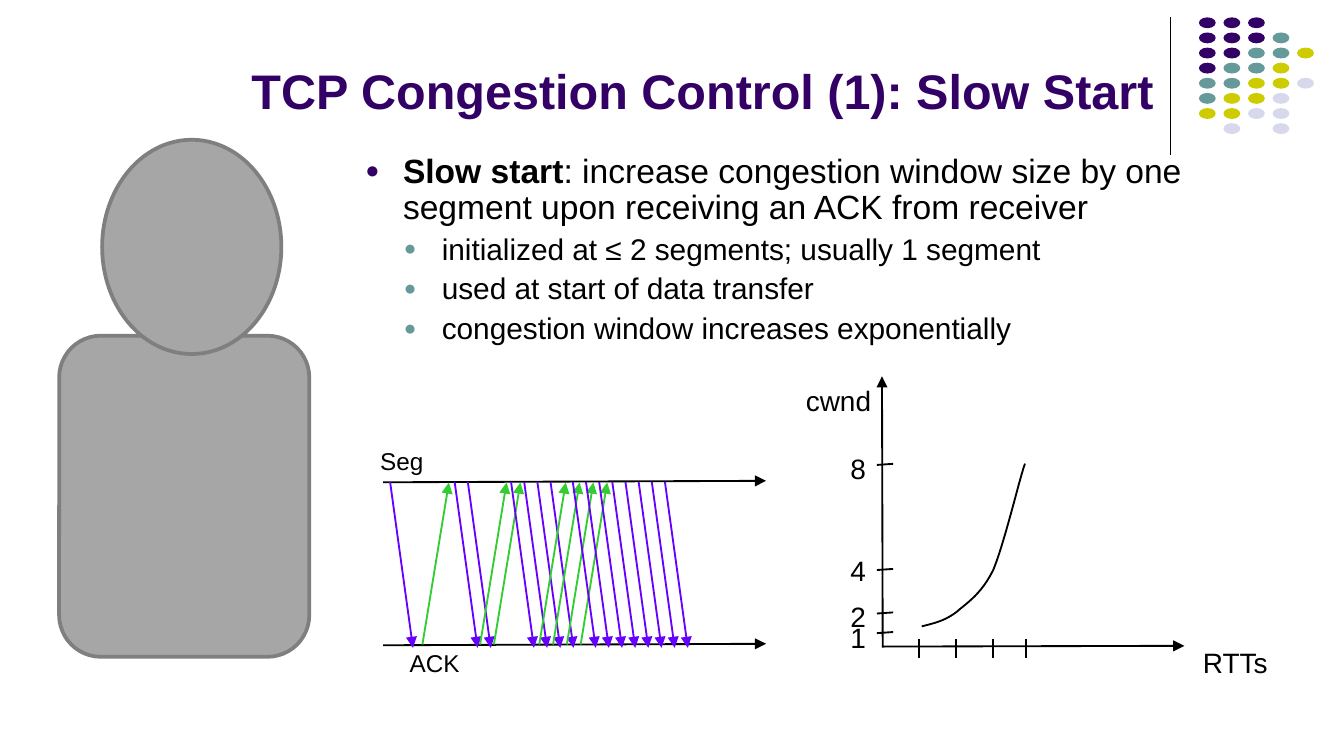
from lxml.etree import SubElement
from pptx import Presentation
from pptx.dml.color import RGBColor
from pptx.enum.shapes import MSO_CONNECTOR, MSO_SHAPE
from pptx.enum.text import MSO_ANCHOR, MSO_AUTO_SIZE, PP_ALIGN
from pptx.oxml.ns import qn
from pptx.util import Pt

FONT = "Arial"
COLORS = {
    "black": "000000",
    "purple": "330066",
    "teal": "669999",
    "olive": "CCCC00",
    "lavender": "D8D8EC",
    "segment": "6600FF",
    "ack": "33CC33",
    "figure": "A6A6A6",
    "outline": "7F7F7F",
}


def color(name):
    """Return the named palette colour."""
    return RGBColor.from_string(COLORS[name])


def style_run(span, size, name="black", bold=False):
    """Set the font of one run."""
    span.font.name = FONT
    span.font.size = Pt(size)
    span.font.bold = bold
    span.font.color.rgb = color(name)


def add_line(page, start, end, name="black", width=1, arrow=False):
    """Draw a straight line, with an arrowhead at its end if asked."""
    line = page.shapes.add_connector(
        MSO_CONNECTOR.STRAIGHT, *(Pt(value) for value in (*start, *end)))
    line.line.color.rgb = color(name)
    line.line.width = Pt(width)
    if arrow:
        SubElement(line.line._get_or_add_ln(), qn("a:tailEnd"), type="triangle")
    SubElement(line._element.spPr, qn("a:effectLst"))


def add_solid(page, kind, box, fill, outline=None):
    """Draw a filled preset shape with an optional outline."""
    solid = page.shapes.add_shape(kind, *(Pt(value) for value in box))
    solid.shadow.inherit = False
    solid.fill.solid()
    solid.fill.fore_color.rgb = color(fill)
    if outline:
        solid.line.color.rgb = color(outline)
        solid.line.width = Pt(2)
    else:
        solid.line.fill.background()


def add_label(page, text, box, size):
    """Place a one-line label."""
    label = page.shapes.add_textbox(*(Pt(value) for value in box))
    label.text_frame.word_wrap = False
    label.text_frame.text = text
    style_run(label.text_frame.paragraphs[0].runs[0], size)


def add_title(page, box):
    """Move and format the title placeholder."""
    title = page.shapes.title
    title.left, title.top, title.width, title.height = (Pt(value) for value in box)
    frame = title.text_frame
    frame.text = "TCP Congestion Control (1): Slow Start"
    frame.auto_size = MSO_AUTO_SIZE.NONE
    frame.vertical_anchor = MSO_ANCHOR.BOTTOM
    para = frame.paragraphs[0]
    para.alignment = PP_ALIGN.LEFT
    style_run(para.runs[0], 26, "purple", True)


def add_corner_dots(page, box):
    """Draw the corner rule and its grid of coloured dots."""
    left, top, height = box
    add_line(page, (left, top), (left, top + height), width=0.75)
    names = {"P": "purple", "T": "teal", "O": "olive", "L": "lavender"}
    rows = ["PPP", "PPPT", "PPTTO", "PTTO", "TTOOL", "TOOL", "OOLL", " L L"]
    for row, codes in enumerate(rows):
        for column, code in enumerate(codes):
            if code in names:
                place = (left + 15.2 + 13.15 * column, top + 8.1 * row, 9, 5.8)
                add_solid(page, MSO_SHAPE.OVAL, place, names[code])


def add_bullet(para, indent, name):
    """Give a paragraph a hanging coloured bullet."""
    props = para._p.get_or_add_pPr()
    props.set("marL", str(Pt(indent)))
    props.set("indent", str(Pt(-20.25)))
    SubElement(SubElement(props, qn("a:buClr")), qn("a:srgbClr"), val=COLORS[name])
    SubElement(props, qn("a:buSzPct"), val="70000")
    SubElement(props, qn("a:buFont"), typeface=FONT)
    SubElement(props, qn("a:buChar"), char="●")


def add_body(page, box):
    """Write the definition of slow start and its three details."""
    body = page.shapes.add_textbox(*(Pt(value) for value in box))
    frame = body.text_frame
    frame.word_wrap = True
    lead = frame.paragraphs[0]
    add_bullet(lead, 20.25, "purple")
    lead.line_spacing = 0.9
    for text, bold in [
        ("Slow start", True),
        (": increase congestion window size by one segment upon receiving "
         "an ACK from receiver", False),
    ]:
        span = lead.add_run()
        span.text = text
        style_run(span, 18, bold=bold)
    for text in [
        "initialized at ≤ 2 segments; usually 1 segment",
        "used at start of data transfer",
        "congestion window increases exponentially",
    ]:
        para = frame.add_paragraph()
        para.text = text
        para.level = 1
        add_bullet(para, 41, "teal")
        para.line_spacing = 0.9
        para.space_before = Pt(4)
        style_run(para.runs[0], 16)


def add_exchange(page, box):
    """Draw the segments and ACKs travelling between two time lines."""
    left, top, width, height = box
    bottom = top + height
    for y in (bottom, top):
        add_line(page, (left, y + 0.4), (left + width, y - 0.4), arrow=True)
    segment_starts = [3.8, 38.4, 68.6, 101.7]
    ack_starts = [21.1, 52, 83.7]
    for turn, start in enumerate(segment_starts):
        for index in range(2 ** turn):
            x = left + start + 7.05 * index
            add_line(page, (x, top + 0.3), (x + 12.25, bottom + 1.8),
                     "segment", arrow=True)
        if turn < len(ack_starts):
            for index in range(2 ** turn):
                x = left + ack_starts[turn] + 7.4 * index
                add_line(page, (x, bottom), (x + 14.2, top + 0.5),
                         "ack", arrow=True)
    add_label(page, "Seg", (left - 8.6, top - 22.4, 38, 23), 13)
    add_label(page, "ACK", (left + 7.2, bottom - 1.4, 41, 23), 13)


def bezier(points, steps=12):
    """Return points along one cubic curve, without its start."""
    curve = []
    for step in range(1, steps + 1):
        t = step / steps
        weights = ((1 - t) ** 3, 3 * t * (1 - t) ** 2, 3 * t * t * (1 - t), t ** 3)
        curve.append(tuple(
            sum(weight * point[axis] for weight, point in zip(weights, points))
            for axis in (0, 1)))
    return curve


def add_growth_plot(page, box):
    """Draw the congestion window against round-trip times."""
    left, top, width, height = box
    base = top + height
    add_line(page, (left + 0.4, base), (left, top), arrow=True)
    add_line(page, (left, base), (left + width, base - 0.4), arrow=True)
    for value, rise, label_rise in [("1", 7.5, 17.5), ("2", 18, 28.9),
                                    ("4", 41.3, 53.4), ("8", 97.6, 108)]:
        y = base - rise
        add_line(page, (left - 2.7, y + 0.3), (left + 6, y - 0.3))
        add_label(page, value, (left - 24.1, base - label_rise, 23, 25), 15)
    for offset in (19.8, 39.6, 59.5, 77):
        x = left + offset
        add_line(page, (x, base - 3.8), (x, base + 6))
    add_label(page, "cwnd", (left - 47.9, top + 0.4, 54, 25), 15)
    add_label(page, "RTTs", (left + width + 2.8, base - 3.9, 53, 25), 15)
    controls = [(left + x, base - y) for x, y in [
        (21.3, 10.8), (27.3, 12.3), (33.8, 13.7), (40.2, 18.7),
        (46, 23.8), (53.2, 28.1), (59.6, 41),
        (65.4, 54.7), (73.3, 88.6), (76.6, 98)]]
    start = tuple(Pt(value) for value in controls[0])
    builder = page.shapes.build_freeform(*start)
    for first in range(0, 9, 3):
        points = bezier(controls[first:first + 4])
        builder.add_line_segments([(Pt(x), Pt(y)) for x, y in points], close=False)
    curve = builder.convert_to_shape()
    curve.shadow.inherit = False
    curve.fill.background()
    curve.line.color.rgb = color("black")
    curve.line.width = Pt(1)


def add_figure(page, box):
    """Draw a plain figure from a rounded body and an oval head."""
    left, top, width, height = box
    add_solid(page, MSO_SHAPE.ROUNDED_RECTANGLE,
              (left, top + 105, width, height - 105), "figure", "outline")
    add_solid(page, MSO_SHAPE.OVAL, (left + 23, top, 96, 114.8), "figure", "outline")


def main():
    """Build the slide and save the deck."""
    deck = Presentation()
    deck.slide_width, deck.slide_height = Pt(720), Pt(405)
    page = deck.slides.add_slide(deck.slide_layouts[5])
    add_corner_dots(page, (627.1, 9.3, 73.5))
    add_title(page, (127.5, 7.2, 502.5, 60.5))
    add_body(page, (188.6, 79.2, 478, 121.7))
    add_exchange(page, (205.2, 258, 205.2, 87.3))
    add_growth_plot(page, (472.5, 201.6, 162, 144.8))
    add_figure(page, (31.7, 74.9, 134, 277))
    deck.save("out.pptx")


if __name__ == "__main__":
    main()
